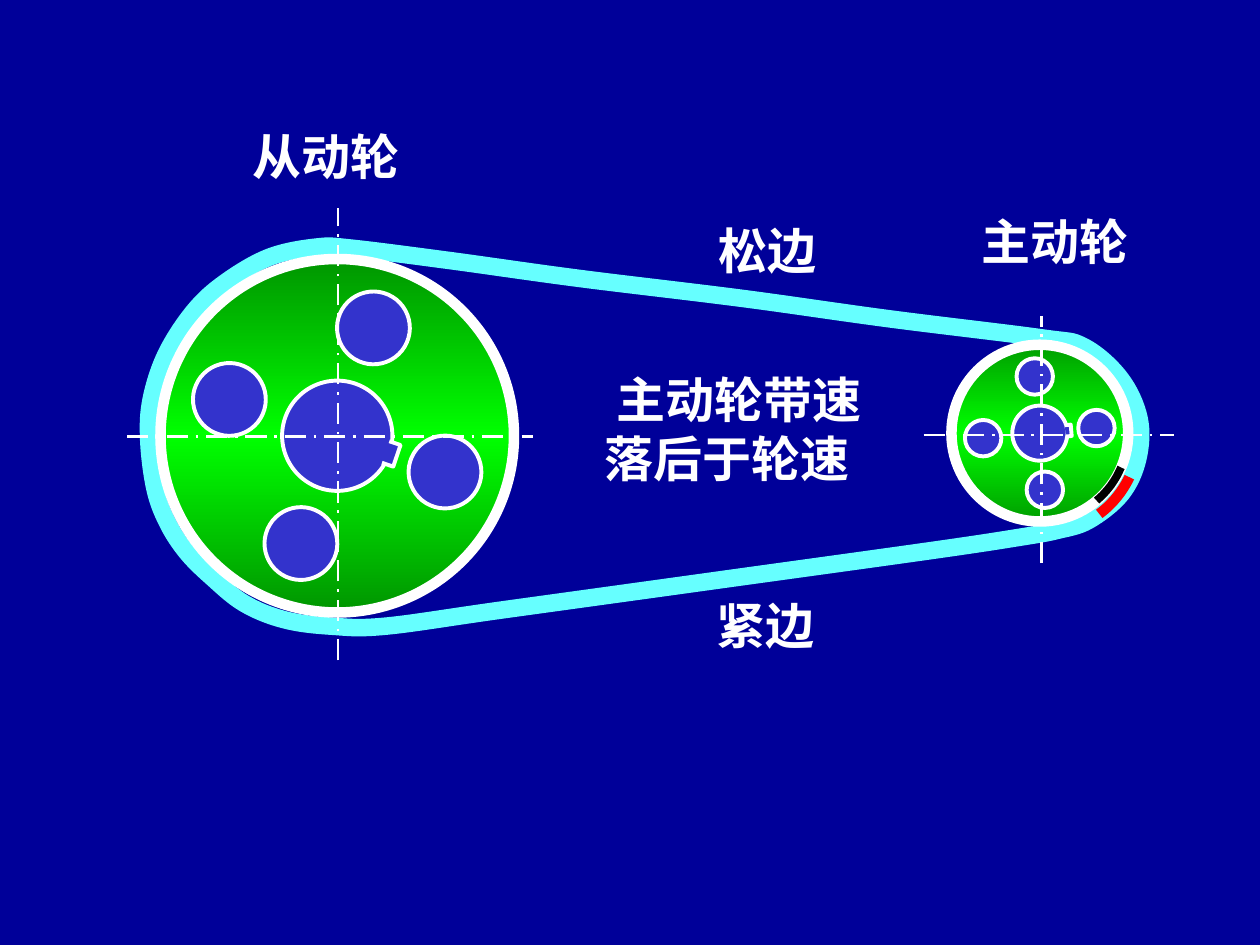
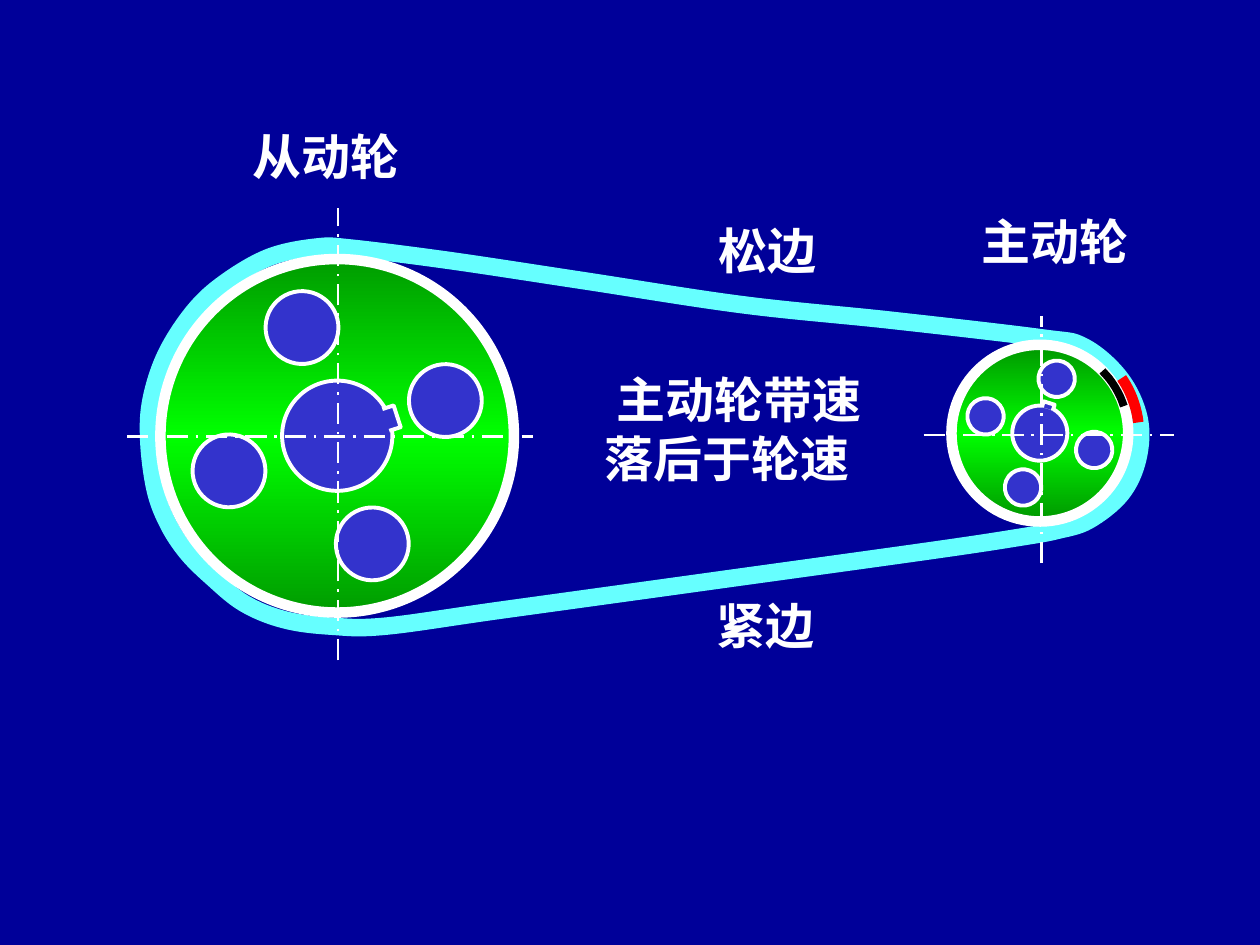
from copy import deepcopy
from dataclasses import dataclass
from math import cos, radians, sin

from pptx import Presentation
from pptx.dml.color import RGBColor
from pptx.enum.dml import MSO_LINE
from pptx.enum.shapes import MSO_CONNECTOR, MSO_SHAPE
from pptx.enum.text import MSO_AUTO_SIZE, PP_ALIGN
from pptx.oxml.ns import qn
from pptx.util import Pt


@dataclass(frozen=True)
class Theme:
    background: str = "000099"
    belt: str = "66FFFF"
    white: str = "FFFFFF"
    hole: str = "3333CC"
    disc_edge: str = "007500"
    disc_middle: str = "00FF00"
    wheel_mark: str = "000000"
    belt_mark: str = "FF0000"
    font: str = "Times New Roman"
    label_size: float = 28
    belt_width: float = 10
    rim_width: float = 6
    mark_width: float = 4.5
    hole_width: float = 2.25
    axis_width: float = 1.5


THEME = Theme()

DRIVEN = {"center": (192.7, 249), "scale": 1}
DRIVER = {"center": (594.2, 247.5), "scale": 0.5}
DISC_RADIUS, HUB_RADIUS, HOLE_RADIUS, HOLE_ORBIT = 101, 31.5, 20.8, 65
KEY_ORBIT, KEY_HALF_LENGTH, KEY_HALF_WIDTH = 32.6, 3.4, 6.5
HOLE_OFFSET = 40

WHEEL_MARK_RADIUS = 50.4
WHEEL_MARK_ANGLES = [95, 88.25, 81.5, 74.75, 68]
BELT_MARK_PLACE = (539.3, 191.7, 111.6, 113)
BELT_MARK_SPAN = 28

AXES = [
    ((72.7, 249.3), (304.6, 249.3)),
    ((193.2, 377.3), (193.2, 118.8)),
    ((527.8, 248.6), (671, 248.6)),
    ((595.2, 321.8), (595.2, 180.7)),
]

LABELS = [
    ("主动轮", (540.1, 117.6, 125.3, 41), 0),
    ("从动轮", (123.6, 68.6, 125.3, 41), 0),
    ("主动轮带速落后于轮速", (330.3, 207.6, 170.6, 74.9), 13),
    ("松边", (396.1, 122.4, 85, 41), 0),
    ("紧边", (394.7, 337, 85, 41), 0),
]

BELT_START = [(594.7, 193)]
BELT_REST = [
    (257.8, 149), (200.9, 141.8), (181.4, 141.1), (154.1, 146.9),
    (128.9, 161.3), (110.9, 177.8), (95, 202.3), (86.4, 228.2),
    (85, 251.3), (88.6, 279.4), (95.8, 298.8), (106.6, 315.4),
    (121, 329.8), (139.7, 344.9), (162.7, 354.2), (189.4, 357.8),
    (220.3, 357.8), (287.3, 348.5), (417.6, 330.5), (537.1, 313.9),
    (584.6, 306.7), (604.1, 303.1), (622.1, 297.4), (640.8, 282.2),
    (650.2, 262.1), (650.9, 239), (640.1, 216), (619.2, 198),
]

SLIDES = [
    {
        "slack_side": [(508.3, 182.2), (424.8, 170.6), (331.2, 159.1)],
        "driver_turn": 314.9,
        "driven_turn": 338.6,
        "belt_mark_start": 26,
    },
    {
        "slack_side": [(508.3, 182.9), (424.8, 174.2), (334.8, 160.6)],
        "driver_turn": 247.2,
        "driven_turn": 302,
        "belt_mark_start": 325,
    },
]


def polar(center, radius, angle, sideways=0):
    c, s = cos(radians(angle)), sin(radians(angle))
    return center[0] + radius * c - sideways * s, center[1] + radius * s + sideways * c


def set_line(shape, color, width):
    shape.line.color.rgb = RGBColor.from_string(color)
    shape.line.width = Pt(width)


def draw_outline(shapes, points, color, width, fill=None, close=False):
    scaled = [(Pt(x), Pt(y)) for x, y in points]
    builder = shapes.build_freeform(*scaled[0])
    builder.add_line_segments(scaled[1:], close=close)
    outline = builder.convert_to_shape()
    outline.shadow.inherit = False
    if fill:
        outline.fill.solid()
        outline.fill.fore_color.rgb = RGBColor.from_string(fill)
    else:
        outline.fill.background()
    set_line(outline, color, width)
    return outline


def bend_segments(outline, closed=False):
    dots = list(outline._element.iter(qn("a:pt")))
    knots = [(int(dot.get("x")), int(dot.get("y"))) for dot in dots]
    before, after = (knots[-2], knots[1]) if closed else (knots[0], knots[-1])
    padded = [before] + knots + [after]
    for i, dot in enumerate(dots[1:]):
        a, b, c, d = padded[i:i + 4]
        segment = dot.getparent()
        curve = segment.makeelement(qn("a:cubicBezTo"), {})
        leaving = [q + (r - p) / 6 for p, q, r in zip(a, b, c)]
        arriving = [q - (r - p) / 6 for p, q, r in zip(b, c, d)]
        for x, y in (leaving, arriving, c):
            curve.append(curve.makeelement(qn("a:pt"), {"x": str(round(x)), "y": str(round(y))}))
        segment.getparent().replace(segment, curve)


def draw_circle(shapes, center, radius, width, turn):
    circle = shapes.add_shape(
        MSO_SHAPE.OVAL, Pt(center[0] - radius), Pt(center[1] - radius), Pt(2 * radius), Pt(2 * radius)
    )
    circle.shadow.inherit = False
    circle.rotation = turn
    circle.fill.solid()
    circle.fill.fore_color.rgb = RGBColor.from_string(THEME.hole)
    set_line(circle, THEME.white, width)
    return circle


def fill_disc(disc):
    disc.fill.gradient()
    disc.fill.gradient_angle = 270
    first, middle = disc.fill.gradient_stops
    first.color.rgb = RGBColor.from_string(THEME.disc_edge)
    first.position = 0
    middle.color.rgb = RGBColor.from_string(THEME.disc_middle)
    middle.position = 0.5
    gradient = disc._element.spPr.find(qn("a:gradFill"))
    gradient.set("rotWithShape", "0")
    stops = gradient.find(qn("a:gsLst"))
    last = deepcopy(stops[0])
    last.set("pos", "100000")
    stops.append(last)


def draw_wheel(page, wheel, turn):
    center, scale = wheel["center"], wheel["scale"]
    shapes = page.shapes.add_group_shape().shapes
    fill_disc(draw_circle(shapes, center, DISC_RADIUS * scale, THEME.rim_width, turn))
    direction = turn + HOLE_OFFSET
    for quarter in (2, 3, 1, 0):
        hole = polar(center, HOLE_ORBIT * scale, direction + 90 * quarter)
        draw_circle(shapes, hole, HOLE_RADIUS * scale, THEME.hole_width, turn)
    draw_circle(shapes, center, HUB_RADIUS * scale, THEME.hole_width, turn)
    middle = polar(center, KEY_ORBIT * scale, direction)
    corners = [
        polar(middle, along * KEY_HALF_LENGTH * scale, HOLE_OFFSET, side * KEY_HALF_WIDTH * scale)
        for along, side in ((-1, -1), (1, -1), (1, 1), (-1, 1))
    ]
    key = draw_outline(shapes, corners, THEME.white, THEME.hole_width, fill=THEME.hole)
    key.rotation = turn


def draw_wheel_mark(page, turn):
    knots = [polar((0, 0), WHEEL_MARK_RADIUS, angle) for angle in WHEEL_MARK_ANGLES]
    mid_x, mid_y = ((min(values) + max(values)) / 2 for values in zip(*knots))
    x, y = polar(DRIVER["center"], mid_x, turn, mid_y)
    placed = [(x + kx - mid_x, y + ky - mid_y) for kx, ky in knots]
    mark = draw_outline(page.shapes, placed, THEME.wheel_mark, THEME.mark_width)
    bend_segments(mark)
    mark.rotation = turn


def draw_belt_mark(page, start):
    mark = page.shapes.add_shape(MSO_SHAPE.ARC, *(Pt(v) for v in BELT_MARK_PLACE))
    mark.shadow.inherit = False
    mark.fill.background()
    set_line(mark, THEME.belt_mark, THEME.rim_width)
    for i, angle in enumerate((start, start + BELT_MARK_SPAN)):
        mark.adjustments[i] = angle * 0.6


def draw_axis(page, start, end):
    axis = page.shapes.add_connector(MSO_CONNECTOR.STRAIGHT, *(Pt(v) for v in start + end))
    set_line(axis, THEME.white, THEME.axis_width)
    axis.line.dash_style = MSO_LINE.LONG_DASH_DOT
    properties = axis._element.spPr
    properties.append(properties.makeelement(qn("a:effectLst"), {}))


def draw_label(page, text, place, indent):
    box = page.shapes.add_textbox(*(Pt(v) for v in place))
    box.text_frame.word_wrap = True
    box.text_frame.auto_size = MSO_AUTO_SIZE.SHAPE_TO_FIT_TEXT
    para = box.text_frame.paragraphs[0]
    para.text = text
    para.alignment = PP_ALIGN.CENTER
    if indent:
        properties = para._p.get_or_add_pPr()
        properties.set("marL", "0")
        properties.set("indent", str(Pt(indent)))
    font = para.runs[0].font
    font.name, font.size, font.bold = THEME.font, Pt(THEME.label_size), True
    font.color.rgb = RGBColor.from_string(THEME.white)


def build_page(deck, state):
    page = deck.slides.add_slide(deck.slide_layouts[6])
    knots = BELT_START + state["slack_side"] + BELT_REST + BELT_START
    belt = draw_outline(page.shapes, knots, THEME.belt, THEME.belt_width, close=True)
    bend_segments(belt, closed=True)
    for label in LABELS[:2]:
        draw_label(page, *label)
    draw_wheel(page, DRIVER, state["driver_turn"])
    draw_wheel_mark(page, state["driver_turn"])
    draw_wheel(page, DRIVEN, state["driven_turn"])
    for axis in AXES:
        draw_axis(page, *axis)
    draw_belt_mark(page, state["belt_mark_start"])
    for label in LABELS[2:]:
        draw_label(page, *label)


def main():
    deck = Presentation()
    deck.slide_width, deck.slide_height = Pt(720), Pt(540)
    background = deck.slide_master.background.fill
    background.solid()
    background.fore_color.rgb = RGBColor.from_string(THEME.background)
    for state in SLIDES:
        build_page(deck, state)
    deck.save("out.pptx")


if __name__ == "__main__":
    main()
